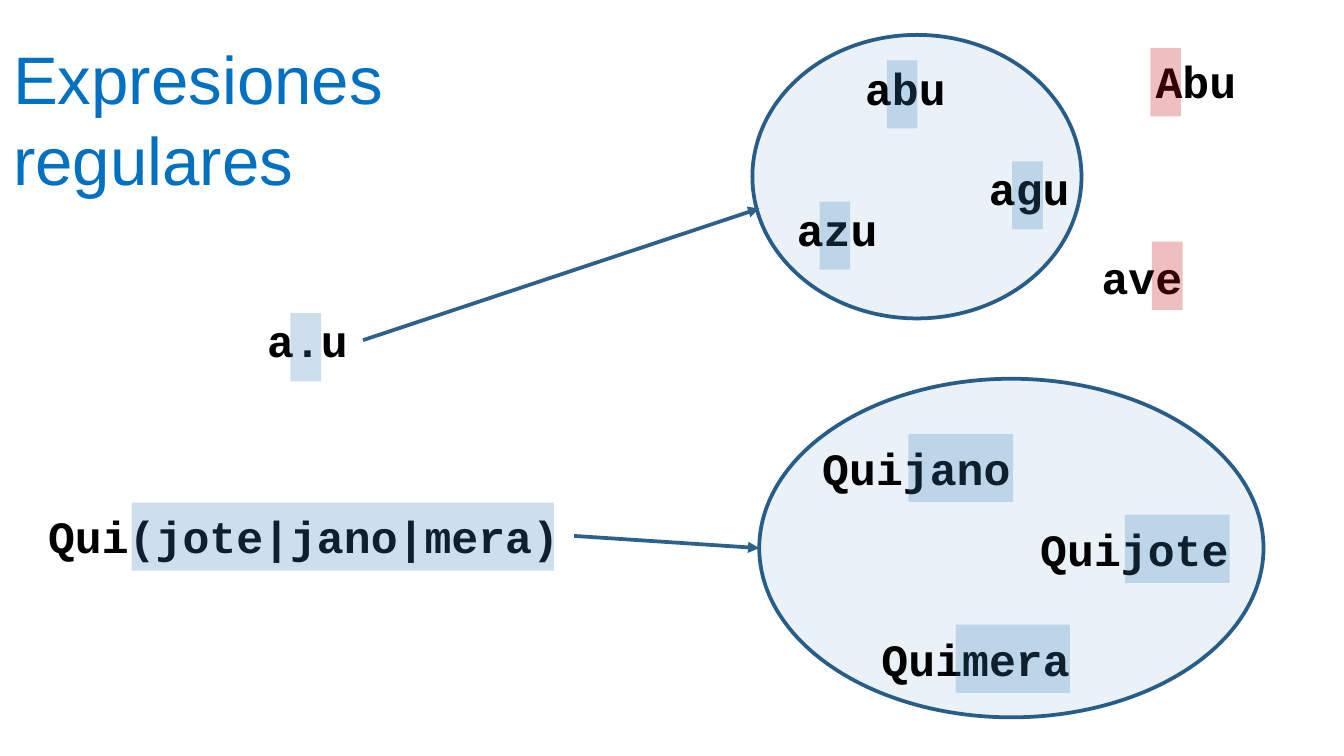
from pptx import Presentation
from pptx import util as u
from pptx.dml.color import RGBColor
from pptx.enum import shapes, text
from pptx.oxml.ns import qn
from lxml import etree

HUES = {"title": "0070C0", "word": "000000", "set": "AECDE6", "edge": "285D88",
        "arrow": "2C618B", "hit": "3A81BA", "miss": "C00000"}

deck = Presentation()
deck.slide_width, deck.slide_height = u.Cm(25.4), u.Cm(14.29)
slide = deck.slides.add_slide(deck.slide_layouts[6])


def glass(kind, hue, *box):
    """Add a borderless shape with a fill of 25 % opacity."""
    shape = slide.shapes.add_shape(kind, *map(u.Cm, box))
    shape.shadow.inherit = False
    shape.fill.solid()
    shape.fill.fore_color.rgb = RGBColor.from_string(HUES[hue])
    tint = shape.fill._xPr.find(".//" + qn("a:srgbClr"))
    etree.SubElement(tint, qn("a:alpha"), val="25000")
    shape.line.fill.background()
    return shape


def label(lines, font, size, hue, wrap, *box):
    """Add a text box with one paragraph per line and return its frame."""
    frame = slide.shapes.add_textbox(*map(u.Cm, box)).text_frame
    frame.word_wrap = wrap
    frame.auto_size = text.MSO_AUTO_SIZE.SHAPE_TO_FIT_TEXT
    for i, line in enumerate(lines):
        para = frame.paragraphs[0] if i == 0 else frame.add_paragraph()
        run = para.add_run()
        run.text = line
        run.font.name, run.font.size = font, u.Pt(size)
        run.font.color.rgb = RGBColor.from_string(HUES[hue])
    return frame


# Sets of matching words
for box in [(14.22, 0.66, 6.22, 5.36), (14.35, 7.16, 9.53, 6.4)]:
    oval = glass(shapes.MSO_SHAPE.OVAL, "set", *box)
    oval.line.color.rgb = RGBColor.from_string(HUES["edge"])
    oval.line.width = u.Pt(2)

# Title
title = label(["Expresiones", "regulares"], "Arial", 36, "title", True,
              0, 0.58, 13.26, 3.3)
for para in title.paragraphs:
    para.line_spacing = u.Pt(43.2)

# Patterns and words: text, left, top, then left, top, width and hue of the mark
words = [
    ("a.u", 4.8, 5.79, 5.49, 5.92, 0.58, "hit"),
    ("abu", 16.1, 1.02, 16.76, 1.14, 0.58, "hit"),
    ("agu", 18.44, 2.92, 19.13, 3.05, 0.58, "hit"),
    ("azu", 14.81, 3.68, 15.49, 3.81, 0.58, "hit"),
    ("Abu", 21.59, 0.89, 21.74, 0.91, 0.58, "miss"),
    ("ave", 20.57, 4.6, 21.77, 4.57, 0.58, "miss"),
    ("Qui(jote|jano|mera)", 0.66, 9.5, 2.49, 9.5, 7.98, "hit"),
    ("Quijano", 15.29, 8.2, 17.17, 8.2, 1.98, "hit"),
    ("Quijote", 19.41, 9.73, 21.26, 9.73, 1.98, "hit"),
    ("Quimera", 16.41, 11.81, 18.06, 11.81, 2.16, "hit"),
]
for word, left, top, start, high, wide, hue in words:
    frame = label([word], "Courier New", 24, "word", False,
                  left, top, 0.51 * len(word) + 0.5, 1.27)
    frame.paragraphs[0].runs[0].font.bold = True
    glass(shapes.MSO_SHAPE.RECTANGLE, hue, start, high, wide, 1.29)

# Arrows from each pattern to its set
for ends in [(6.86, 6.43, 14.35, 3.94), (10.85, 10.13, 14.35, 10.36)]:
    arrow = slide.shapes.add_connector(shapes.MSO_CONNECTOR.STRAIGHT,
                                       *map(u.Cm, ends))
    arrow.line.color.rgb = RGBColor.from_string(HUES["arrow"])
    arrow.line.width = u.Pt(2)
    etree.SubElement(arrow.line._get_or_add_ln(), qn("a:tailEnd"), type="triangle")
    etree.SubElement(arrow._element.spPr, qn("a:effectLst"))

deck.save("out.pptx")
